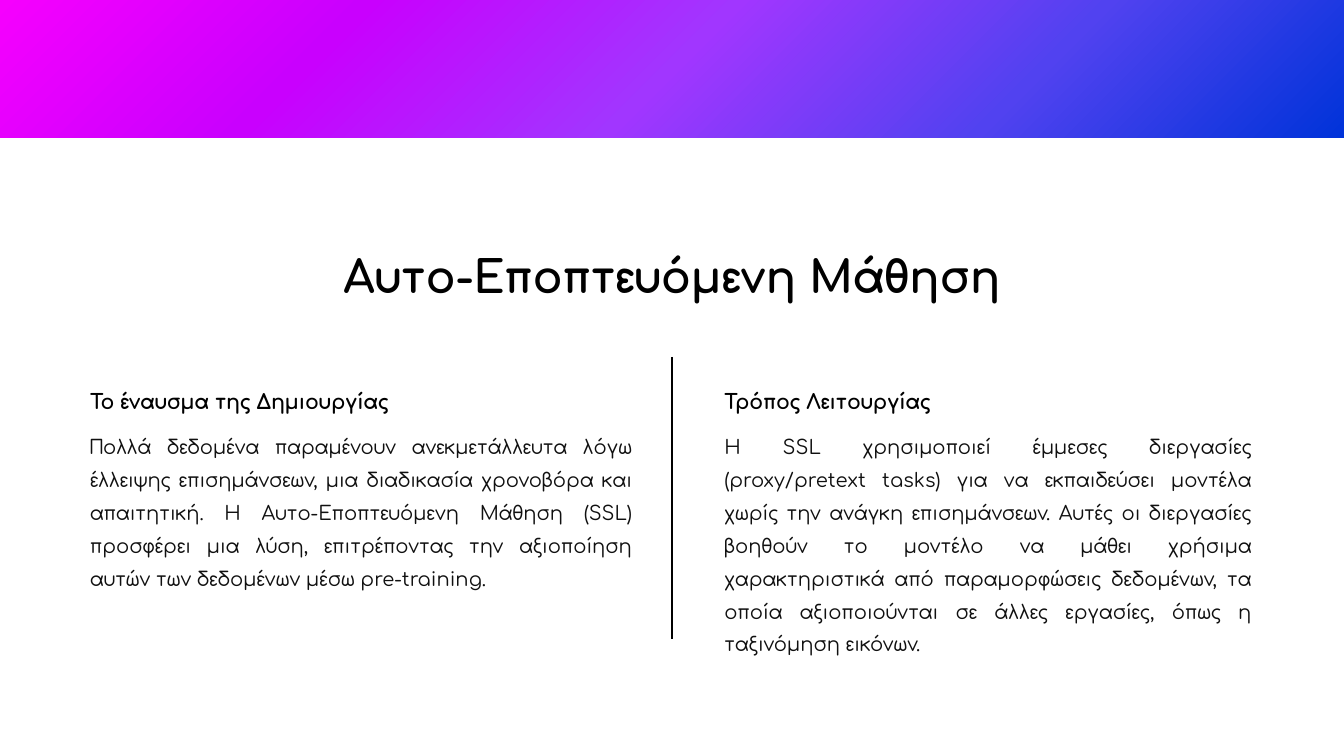
from lxml import etree
from pptx import Presentation
from pptx.dml.color import RGBColor
from pptx.enum.shapes import MSO_CONNECTOR, MSO_SHAPE
from pptx.enum.text import MSO_ANCHOR, MSO_AUTO_SIZE, PP_ALIGN
from pptx.oxml.ns import qn
from pptx.util import Inches, Pt

LEFT, CENTER, JUSTIFY = PP_ALIGN.LEFT, PP_ALIGN.CENTER, PP_ALIGN.JUSTIFY
COMPARISON_LAYOUT = 4
WIDTH, HEIGHT = 20, 11.25
MARGIN = 1.34
FONT = "Comfortaa"
COLORS = {"ink": "000000", "body": "101010"}
BAND_STOPS = ["F600FE", "C900FE", "A136FF", "5142F0", "0033D9"]

TITLE = "Αυτο-Εποπτευόμενη Μάθηση"
# Heading, body text, left edge, body width, body height
COLUMNS = [
    ("Το έναυσμα της Δημιουργίας",
     "Πολλά δεδομένα παραμένουν ανεκμετάλλευτα λόγω έλλειψης επισημάνσεων, "
     "μια διαδικασία χρονοβόρα και απαιτητική. Η Αυτο-Εποπτευόμενη Μάθηση (SSL) "
     "προσφέρει μια λύση, επιτρέποντας την αξιοποίηση αυτών των δεδομένων "
     "μέσω pre-training.",
     MARGIN, 8.08, 2.82),
    ("Τρόπος Λειτουργίας",
     "Η SSL χρησιμοποιεί έμμεσες διεργασίες (proxy/pretext tasks) για να "
     "εκπαιδεύσει μοντέλα χωρίς την ανάγκη επισημάνσεων. Αυτές οι διεργασίες "
     "βοηθούν το μοντέλο να μάθει χρήσιμα χαρακτηριστικά από παραμορφώσεις "
     "δεδομένων, τα οποία αξιοποιούνται σε άλλες εργασίες, όπως η ταξινόμηση "
     "εικόνων.",
     10.78, 7.86, 3.31),
]


def place_text(holder, box, text, size, color, bold=False, align=LEFT):
    """Fill a placeholder with one unbulleted paragraph in the given box."""
    holder.left, holder.top, holder.width, holder.height = map(Inches, box)
    frame = holder.text_frame
    frame.text = text
    frame.word_wrap = True
    frame.auto_size = MSO_AUTO_SIZE.NONE
    frame.vertical_anchor = MSO_ANCHOR.TOP
    frame.margin_left = frame.margin_right = 0
    frame.margin_top = frame.margin_bottom = 0

    paragraph = frame.paragraphs[0]
    paragraph.alignment = align
    paragraph.line_spacing = 1.4
    paragraph.space_before = Pt(0)
    properties = paragraph._p.get_or_add_pPr()
    properties.set("marL", "0")
    properties.set("indent", "0")
    etree.SubElement(properties, qn("a:buNone"))

    font = paragraph.runs[0].font
    font.name, font.size, font.bold = FONT, Pt(size), bold
    font.color.rgb = RGBColor.from_string(COLORS[color])


def add_band(slide, box):
    """Gradient strip spreading from its top left corner."""
    band = slide.shapes.add_shape(MSO_SHAPE.RECTANGLE, *map(Inches, box))
    band.shadow.inherit = False
    band.line.fill.background()
    band.fill.gradient()
    gradient = band._element.spPr.find(qn("a:gradFill"))
    for child in list(gradient):
        gradient.remove(child)
    stops = etree.SubElement(gradient, qn("a:gsLst"))
    for index, color in enumerate(BAND_STOPS):
        position = index * 100000 // (len(BAND_STOPS) - 1)
        stop = etree.SubElement(stops, qn("a:gs"), pos=str(position))
        etree.SubElement(stop, qn("a:srgbClr"), val=color)
    spread = etree.SubElement(gradient, qn("a:path"), path="circle")
    etree.SubElement(spread, qn("a:fillToRect"),
                     l="0", t="0", r="100000", b="100000")


def add_divider(slide, x, top, bottom):
    """Vertical rule between the columns."""
    divider = slide.shapes.add_connector(
        MSO_CONNECTOR.STRAIGHT, *map(Inches, (x, top, x, bottom)))
    divider.line.width = Pt(3)
    divider.line.color.rgb = RGBColor.from_string(COLORS["ink"])
    etree.SubElement(divider._element.spPr, qn("a:effectLst"))


def fill_column(heading_holder, body_holder, box, heading, body):
    """Heading with a justified paragraph beneath it."""
    left, top, width, body_height = box
    place_text(heading_holder, (left, top, 4.93, 0.37), heading, 22, "ink", True)
    place_text(body_holder, (left, top + 0.7, width, body_height),
               body, 20.94, "body", align=JUSTIFY)


def main():
    deck = Presentation()
    deck.slide_width, deck.slide_height = Inches(WIDTH), Inches(HEIGHT)
    slide = deck.slides.add_slide(deck.slide_layouts[COMPARISON_LAYOUT])

    add_band(slide, (0, 0, WIDTH, 2.05))
    place_text(slide.shapes.title, (MARGIN, 3.38, WIDTH - 2 * MARGIN, 0.81),
               TITLE, 48, "ink", True, CENTER)
    add_divider(slide, WIDTH / 2, 5.31, 9.51)

    # Comparison placeholders: 1 and 3 are headings, 2 and 4 are bodies
    holders = {h.placeholder_format.idx: h for h in slide.placeholders}
    for index, (heading, body, left, width, height) in enumerate(COLUMNS):
        fill_column(holders[2 * index + 1], holders[2 * index + 2],
                    (left, 5.64, width, height), heading, body)

    deck.save("out.pptx")


if __name__ == "__main__":
    main()
